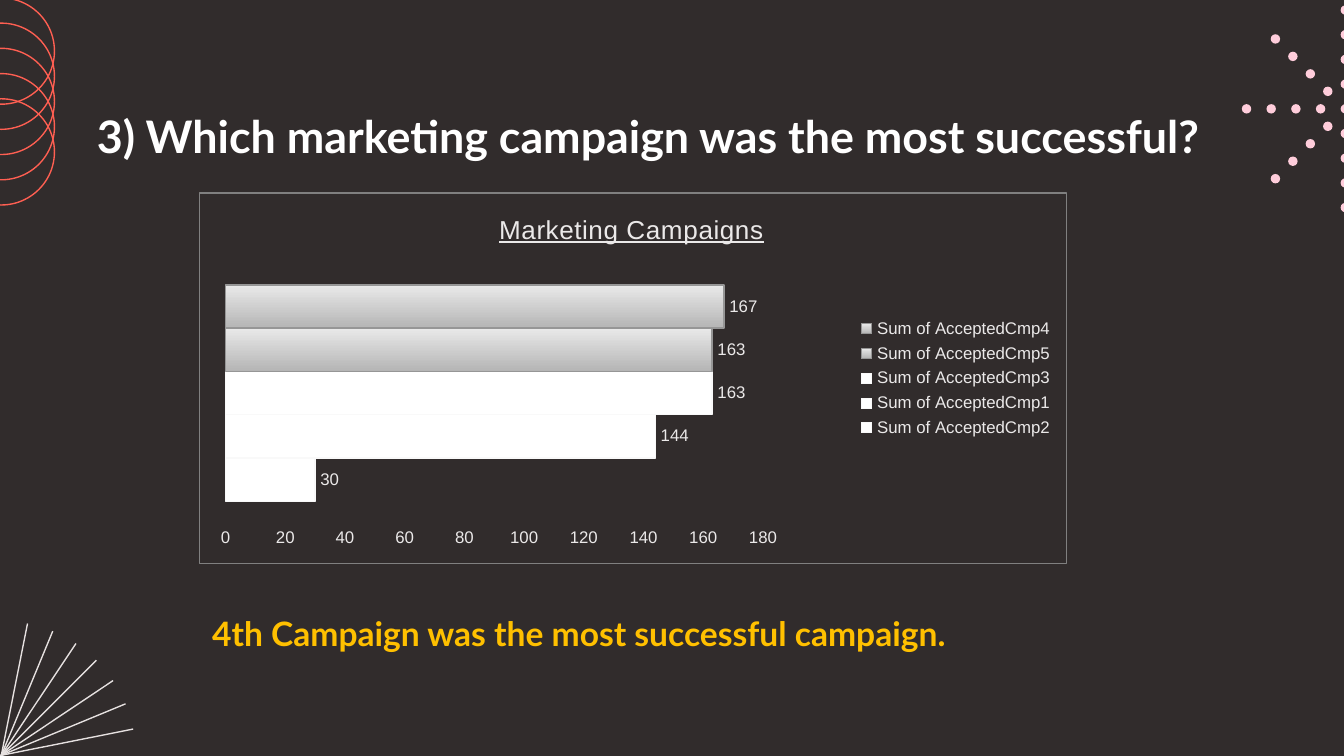
from math import cos, radians, sin

from lxml import etree
from pptx import Presentation
from pptx.chart.data import CategoryChartData
from pptx.dml.color import RGBColor
from pptx.enum.chart import XL_CHART_TYPE, XL_LABEL_POSITION, XL_LEGEND_POSITION, XL_TICK_MARK
from pptx.enum.shapes import MSO_CONNECTOR, MSO_SHAPE
from pptx.enum.text import MSO_ANCHOR, MSO_AUTO_SIZE, PP_ALIGN
from pptx.oxml import parse_xml
from pptx.oxml.ns import nsdecls, qn
from pptx.util import Inches, Pt

BAR = XL_CHART_TYPE.BAR_CLUSTERED
OUTSIDE_END = XL_LABEL_POSITION.OUTSIDE_END
LEGEND_RIGHT = XL_LEGEND_POSITION.RIGHT
NO_TICK = XL_TICK_MARK.NONE
STRAIGHT = MSO_CONNECTOR.STRAIGHT
OVAL = MSO_SHAPE.OVAL
MIDDLE = MSO_ANCHOR.MIDDLE
NO_AUTOFIT = MSO_AUTO_SIZE.NONE
LEFT = PP_ALIGN.LEFT

COLORS = {
    "background": "312C2C", "ray": "E6E1E0", "ring": "FF5F52", "dot": "FFCDDB",
    "title": "FFFFFF", "answer": "FFC000", "chart_text": "EBE9E9",
    "frame": "808080", "bar": "FFFFFF", "bar_edge": "F9F9F9",
    "top_light": "E9E9E9", "top_dark": "B5B5B5", "top_edge": "969696",
}
CAMPAIGNS = [("Cmp2", 30), ("Cmp1", 144), ("Cmp3", 163), ("Cmp5", 163), ("Cmp4", 167)]
TOP_CAMPAIGNS = ("Cmp5", "Cmp4")


def rgb(name):
    return RGBColor.from_string(COLORS[name])


def format_font(font, size, color, face="Arial", bold=False):
    font.size = Pt(size)
    font.name = face
    font.bold = bold
    font.color.rgb = rgb(color)


def write_text(frame, text, **style):
    frame.word_wrap = True
    frame.auto_size = NO_AUTOFIT
    frame.vertical_anchor = MIDDLE
    paragraph = frame.paragraphs[0]
    paragraph.alignment = LEFT
    run = paragraph.add_run()
    run.text = text
    format_font(run.font, **style)


def set_layout(parent, index, **settings):
    for old in parent.findall(qn("c:layout")):
        parent.remove(old)
    layout = parse_xml(f"<c:layout {nsdecls('c')}><c:manualLayout/></c:layout>")
    for tag, value in settings.items():
        etree.SubElement(layout[0], qn(f"c:{tag}")).set("val", str(value))
    parent.insert(index, layout)


class SlideBuilder:
    line_width = Pt(0.75)

    def __init__(self, slide):
        self.slide = slide
        fill = slide.background.fill
        fill.solid()
        fill.fore_color.rgb = rgb("background")

    def ray(self, center_x, center_y, radius, angle):
        dx, dy = radius * cos(radians(angle)), radius * sin(radians(angle))
        line = self.slide.shapes.add_connector(
            STRAIGHT, Inches(center_x + dx), Inches(center_y - dy),
            Inches(center_x - dx), Inches(center_y + dy))
        line.line.color.rgb = rgb("ray")
        line.line.width = self.line_width
        etree.SubElement(line._element.spPr, qn("a:effectLst"))

    def circle(self, center_x, center_y, diameter, fill=None, outline=None):
        circle = self.slide.shapes.add_shape(
            OVAL, Inches(center_x - diameter / 2), Inches(center_y - diameter / 2),
            Inches(diameter), Inches(diameter))
        circle.shadow.inherit = False
        if fill:
            circle.fill.solid()
            circle.fill.fore_color.rgb = rgb(fill)
        else:
            circle.fill.background()
        if outline:
            circle.line.color.rgb = rgb(outline)
            circle.line.width = self.line_width
        else:
            circle.line.fill.background()

    def title(self, text, left, top, width, height):
        title = self.slide.shapes.title
        title.left, title.top = Inches(left), Inches(top)
        title.width, title.height = Inches(width), Inches(height)
        write_text(title.text_frame, text, size=24, color="title", face="Lato", bold=True)

    def answer(self, text, left, top, width, height):
        answer = self.slide.shapes.add_textbox(
            Inches(left), Inches(top), Inches(width), Inches(height))
        write_text(answer.text_frame, text, size=18, color="answer", face="Lato", bold=True)

    def bar_chart(self, heading, left, top, width, height):
        data = CategoryChartData()
        data.categories = ["1"]
        for campaign, accepted in CAMPAIGNS:
            data.add_series(f"Sum of Accepted{campaign}", [accepted])
        chart = self.slide.shapes.add_chart(
            BAR, Inches(left), Inches(top), Inches(width), Inches(height), data).chart
        format_font(chart.font, 10, "background")
        self.chart_heading(chart, heading)
        self.chart_axes(chart)
        chart.has_legend = True
        chart.legend.position = LEGEND_RIGHT
        chart.legend.include_in_layout = False
        format_font(chart.legend.font, 9, "chart_text")

        plot = chart.plots[0]
        plot.gap_width = 100
        plot.vary_by_categories = False
        for series, (campaign, _) in zip(plot.series, CAMPAIGNS):
            self.style_bar(series, campaign in TOP_CAMPAIGNS)

        space = chart._chartSpace
        set_layout(space.find(".//" + qn("c:plotArea")), 0, layoutTarget="inner",
                   xMode="edge", yMode="edge", x=0.03, y=0.19, w=0.62, h=0.7)
        space.find(qn("c:chart")).addnext(parse_xml(
            f"<c:spPr {nsdecls('c', 'a')}><a:noFill/><a:ln w=\"{self.line_width}\"><a:solidFill>"
            f"<a:srgbClr val=\"{COLORS['frame']}\"/></a:solidFill></a:ln></c:spPr>"))

    def chart_heading(self, chart, text):
        chart.has_title = True
        run = chart.chart_title.text_frame.paragraphs[0].add_run()
        run.text = text
        format_font(run.font, 14, "chart_text")
        run.font.underline = True
        run.font._element.set("spc", "20")
        set_layout(chart._chartSpace.find(".//" + qn("c:title")), 1,
                   xMode="edge", yMode="edge", x=0.34, y=0.04)

    def chart_axes(self, chart):
        chart.category_axis.visible = False
        axis = chart.value_axis
        axis.has_major_gridlines = False
        axis.major_tick_mark = NO_TICK
        axis.minimum_scale, axis.maximum_scale, axis.major_unit = 0, 180, 20
        axis.format.line.fill.background()
        format_font(axis.tick_labels.font, 9, "chart_text")

    def style_bar(self, series, is_top):
        series.invert_if_negative = False
        fill, line = series.format.fill, series.format.line
        if is_top:
            fill.gradient()
            fill.gradient_angle = 270
            for stop, color in zip(fill.gradient_stops, ("top_light", "top_dark")):
                stop.color.rgb = rgb(color)
        else:
            fill.solid()
            fill.fore_color.rgb = rgb("bar")
        line.color.rgb = rgb("top_edge" if is_top else "bar_edge")
        line.width = self.line_width
        labels = series.data_labels
        labels.show_value = True
        labels.position = OUTSIDE_END
        format_font(labels.font, 9, "chart_text")


def main():
    deck = Presentation()
    deck.slide_width = Inches(10)
    deck.slide_height = deck.slide_width * 9 // 16
    builder = SlideBuilder(deck.slides.add_slide(deck.slide_layouts[5]))

    for step in range(1, 8):
        builder.ray(0.01, 5.62, 1, step * 90 / 8)
    for ring in range(5):
        builder.circle(0.01, 0.38 + ring * 0.75 / 4, 0.79, outline="ring")

    tip_x, tip_y, gap, diagonal = 10.01, 0.81, 0.735 / 4, 0.13
    column = [(tip_x, tip_y + step * gap) for step in range(-4, 5)]
    shaft = [(tip_x - step * gap, tip_y) for step in range(1, 5)]
    head = [(tip_x - step * diagonal, tip_y + side * step * diagonal)
            for side in (1, -1) for step in range(1, 5)]
    for x, y in column + shaft + head:
        builder.circle(x, y, 0.07, fill="dot")

    builder.title("3) Which marketing campaign was the most successful?", 0.62, 0.76, 8.95, 0.5)
    builder.bar_chart("Marketing Campaigns", 1.48, 1.43, 6.46, 2.77)
    builder.answer("4th Campaign was the most successful campaign.", 1.48, 4.51, 6.46, 0.4)
    deck.save("out.pptx")


if __name__ == "__main__":
    main()
